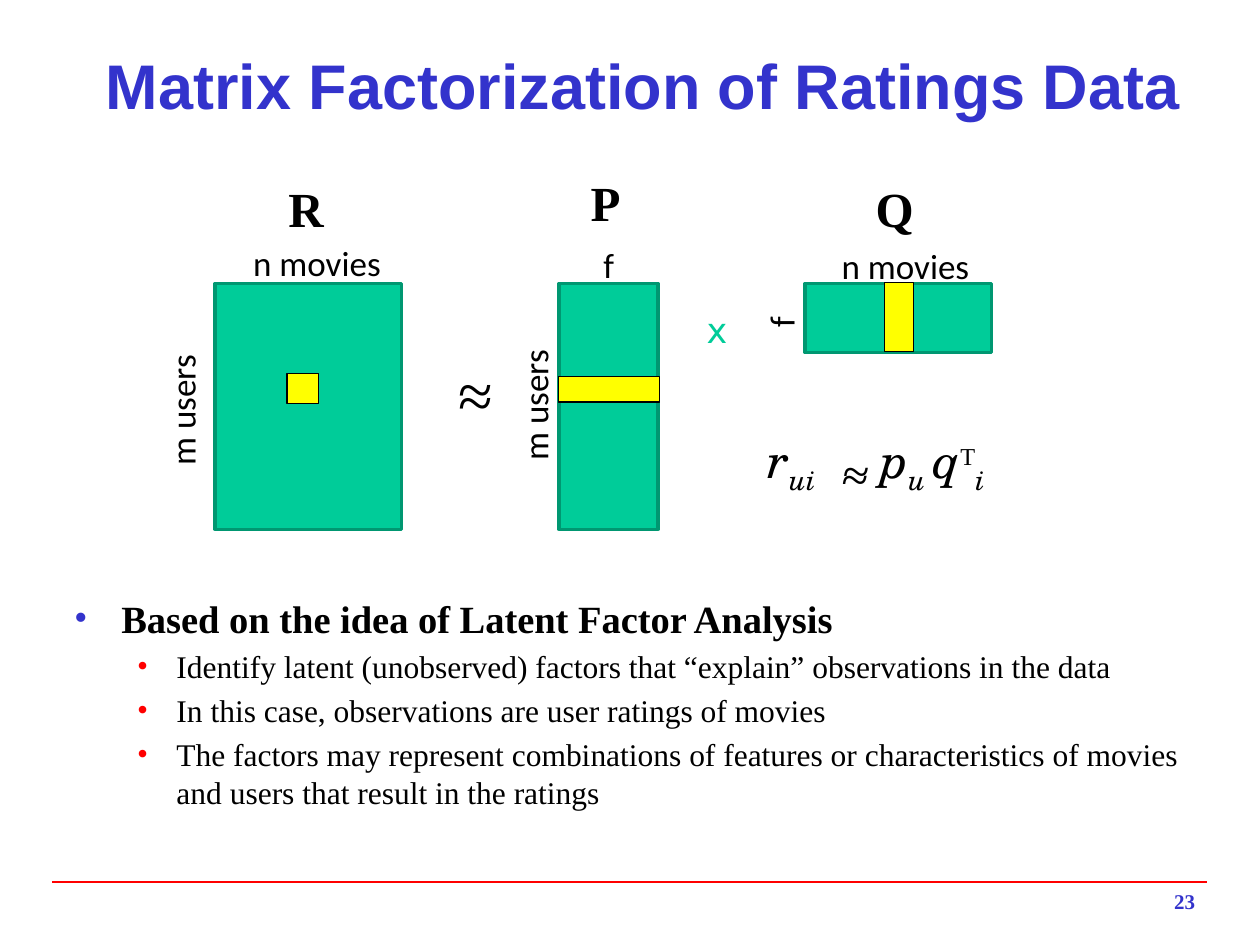
"""Build a slide on the matrix factorization of ratings data."""
from lxml import etree
from pptx import Presentation
from pptx.dml.color import RGBColor
from pptx.enum.shapes import MSO_CONNECTOR, MSO_SHAPE
from pptx.enum.text import MSO_ANCHOR, MSO_AUTO_SIZE, PP_ALIGN
from pptx.oxml.ns import qn
from pptx.util import Pt

RECTANGLE = MSO_SHAPE.RECTANGLE
STRAIGHT = MSO_CONNECTOR.STRAIGHT
MIDDLE = MSO_ANCHOR.MIDDLE
NO_FIT = MSO_AUTO_SIZE.NONE
LEFT, CENTER, RIGHT = PP_ALIGN.LEFT, PP_ALIGN.CENTER, PP_ALIGN.RIGHT
SERIF, SANS, MATH = "Times New Roman", "Calibri", "TeX Gyre Schola"
COLORS = {"blue": "3333CC", "red": "FF0000", "green": "00CC99",
          "edge": "009771", "yellow": "FFFF00", "black": "000000"}


def style(span, size, face, color="black", bold=False, italic=False):
    span.font.size = Pt(size)
    span.font.name = face
    span.font.bold = bold
    span.font.italic = italic
    span.font.color.rgb = RGBColor.from_string(COLORS[color])


def add_text(page, text, place, size, face, color="black", bold=False,
             turn=0, align=LEFT):
    box = page.shapes.add_textbox(*map(Pt, place))
    box.rotation = turn
    box.text_frame.word_wrap = align == RIGHT
    para = box.text_frame.paragraphs[0]
    para.text = text
    para.alignment = align
    style(para.runs[0], size, face, color, bold)


deck = Presentation()
deck.slide_width, deck.slide_height = Pt(720), Pt(540)
page = deck.slides.add_slide(deck.slide_layouts[5])

rule = page.shapes.add_connector(STRAIGHT, Pt(30), Pt(504), Pt(690), Pt(504))
rule.line.color.rgb = RGBColor.from_string(COLORS["red"])
rule.line.width = Pt(1)
etree.SubElement(rule._element.spPr, qn("a:effectLst"))

title = page.shapes.title
title.left, title.top, title.width, title.height = map(Pt, (28.8, 23.8, 677.5, 48.2))
title.text_frame.text = "Matrix Factorization of Ratings Data"
title.text_frame.vertical_anchor = MIDDLE
title.text_frame.auto_size = NO_FIT
title.text_frame.paragraphs[0].alignment = CENTER
style(title.text_frame.paragraphs[0].runs[0], 36, "Arial", "blue", True)

points = [
    (0, "Based on the idea of Latent Factor Analysis"),
    (1, "Identify latent (unobserved) factors that “explain” observations in the data"),
    (1, "In this case, observations are user ratings of movies"),
    (1, "The factors may represent combinations of features or characteristics "
        "of movies and users that result in the ratings"),
]
levels = [(22, "blue", True, 27, 27), (18, "red", False, 58.5, 22.5)]
body = page.shapes.add_textbox(Pt(35.3), Pt(336.2), Pt(648), Pt(128.9))
body.text_frame.word_wrap = True
body.text_frame.text = "\n".join(text for level, text in points)
for para, (level, text) in zip(body.text_frame.paragraphs, points):
    size, bullet_color, bold, margin, hanging = levels[level]
    para.level = level
    para.space_before = Pt(size * 0.2)
    style(para.runs[0], size, SERIF, bold=bold)
    properties = para._p.get_or_add_pPr()
    properties.set("marL", str(Pt(margin)))
    properties.set("indent", str(-Pt(hanging)))
    tint = etree.SubElement(properties, qn("a:buClr"))
    etree.SubElement(tint, qn("a:srgbClr"), val=COLORS[bullet_color])
    etree.SubElement(properties, qn("a:buFont"), typeface=SERIF)
    etree.SubElement(properties, qn("a:buChar"), char="•")

add_text(page, "23", (540, 504, 150, 24), 12, SERIF, "blue", True, align=RIGHT)

matrices = [(123, 162, 106.5, 140.5), (319.5, 162, 56.5, 140.5), (460, 162, 106.5, 39.5)]
highlights = [(164, 213.5, 18, 17), (319, 215.3, 58, 14.4), (505.4, 161.3, 16.6, 39.6)]
for places, fill, edge, width in ((matrices, "green", "edge", 2),
                                  (highlights, "yellow", "black", 0.75)):
    for place in places:
        block = page.shapes.add_shape(RECTANGLE, *map(Pt, place))
        block.shadow.inherit = False
        block.fill.solid()
        block.fill.fore_color.rgb = RGBColor.from_string(COLORS[fill])
        block.line.color.rgb = RGBColor.from_string(COLORS[edge])
        block.line.width = Pt(width)

for name, left, top, width in (("R", 157.7, 98.6, 35.3), ("P", 330.5, 95, 31.7),
                               ("Q", 493.2, 98.6, 36.7)):
    add_text(page, name, (left, top, width, 41), 28, SERIF, bold=True)

for label, left, top, width, turn in (
        ("m users", 64.8, 218.2, 78.5, 270), ("n movies", 137.5, 134.6, 87.8, 0),
        ("m users", 266.4, 215.3, 78.5, 270), ("f", 337.7, 135.4, 21.6, 0),
        ("n movies", 473.8, 136.1, 90.7, 0), ("f", 435.6, 167.8, 21.6, 270)):
    add_text(page, label, (left, top, width, 31.7), 20, SANS, turn=turn)

add_text(page, "x", (396.7, 172.8, 26.6, 31.7), 20, "DejaVu Sans", "green")
for left, top, width, height, size in (
        (254.9, 195.8, 34.6, 51.1, 36), (254.9, 203, 34.6, 51.1, 36),
        (474.5, 247.7, 29.5, 41, 28), (473.8, 252, 29.5, 41, 28)):
    add_text(page, "~", (left, top, width, height), size, SERIF)

formula = page.shapes.add_textbox(Pt(431.3), Pt(241.9), Pt(248.4), Pt(74.9))
formula.text_frame.word_wrap = True
para = formula.text_frame.paragraphs[0]
stops = etree.SubElement(para._p.get_or_add_pPr(), qn("a:tabLst"))
etree.SubElement(stops, qn("a:tab"), pos=str(Pt(64.5)), algn="l")
for text, baseline in (("r", 0), ("ui\t", -25), ("p", 0), ("u ", -25),
                       ("q", 0), ("T", 30), ("i", -25)):
    span = para.add_run()
    span.text = text
    raised = baseline > 0
    style(span, 24 if raised else 28, SERIF if raised else MATH, italic=not raised)
    span.font._element.set("baseline", str(baseline * 1000))

deck.save("out.pptx")
